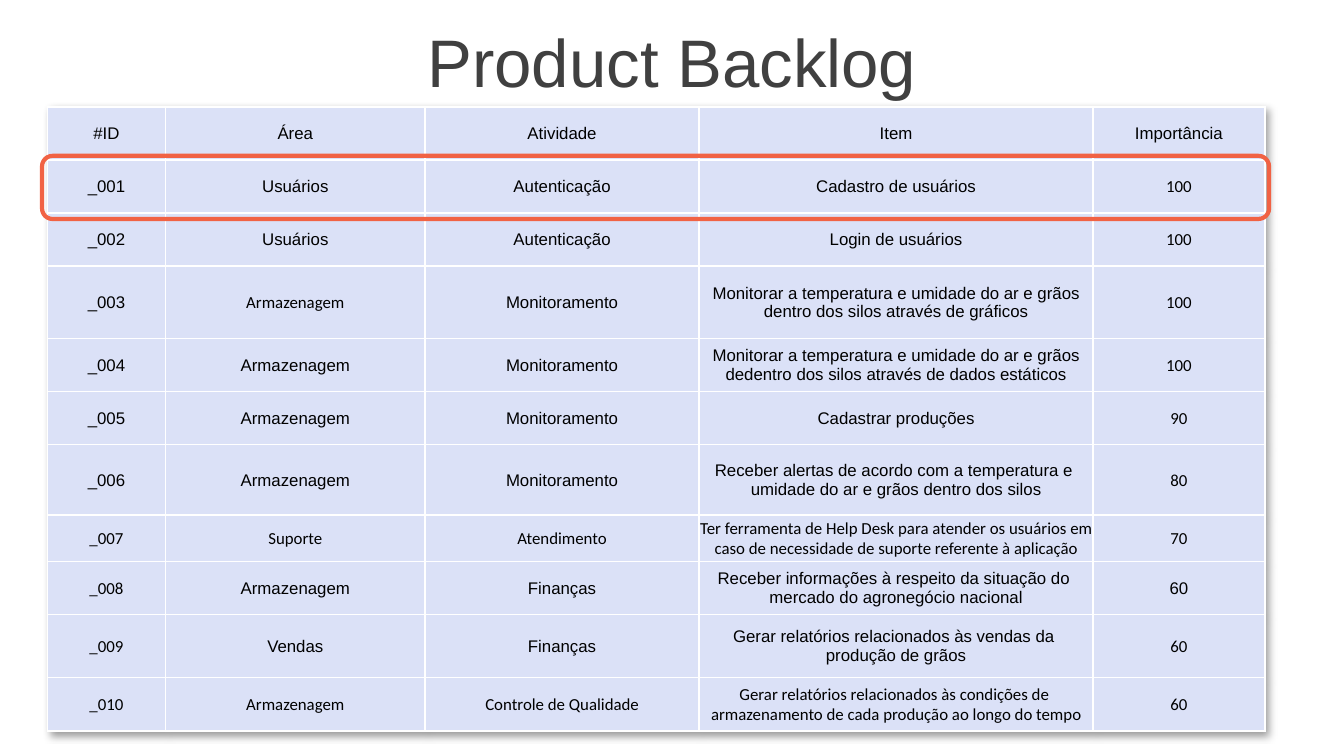
from lxml import etree
from pptx import Presentation, oxml
from pptx.dml import color
from pptx.enum import shapes, text
from pptx.oxml import ns
from pptx.util import Inches, Pt

COLORS = {"title": "404040", "text": "000000", "cell": "DBE1F7", "border": "FFFFFF", "highlight": "F16244"}
FONTS = {"A": "Arial", "C": "Calibri"}
GRID_COLUMNS = 1000
COLUMN_WIDTHS = [88, 193, 204, 293, 128]
LINE = 39.5
BACKLOG = [
    (LINE, "AAAAA", "#ID", "Área", "Atividade", "Item", "Importância"),
    (LINE, "AAAAC", "_001", "Usuários", "Autenticação", "Cadastro de usuários", "100"),
    (LINE, "AAAAC", "_002", "Usuários", "Autenticação", "Login de usuários", "100"),
    (54, "ACAAC", "_003", "Armazenagem", "Monitoramento",
     "Monitorar a temperatura e umidade do ar e grãos dentro dos silos através de gráficos", "100"),
    (LINE, "AAAAC", "_004", "Armazenagem", "Monitoramento",
     "Monitorar a temperatura e umidade do ar e grãos dedentro dos silos através de dados estáticos", "100"),
    (LINE, "AAAAC", "_005", "Armazenagem", "Monitoramento", "Cadastrar produções", "90"),
    (52.5, "AAAAC", "_006", "Armazenagem", "Monitoramento",
     "Receber alertas de acordo com a temperatura e \numidade do ar e grãos dentro dos silos", "80"),
    (34.5, "CCCCC", "_007", "Suporte", "Atendimento",
     "Ter ferramenta de Help Desk para atender os usuários em caso de necessidade de suporte "
     "referente à aplicação", "70"),
    (LINE, "CAAAA", "_008", "Armazenagem", "Finanças",
     "Receber informações à respeito da situação do \nmercado do agronegócio nacional", "60"),
    (47, "CAAAC", "_009", "Vendas", "Finanças",
     "Gerar relatórios relacionados às vendas da \nprodução de grãos", "60"),
    (LINE, "CCCCC", "_010", "Armazenagem", "Controle de Qualidade",
     "Gerar relatórios relacionados às condições de \narmazenamento de cada produção ao longo do tempo", "60"),
]

deck = Presentation()
deck.slide_width = Inches(10)
deck.slide_height = deck.slide_width * 9 // 16
unit = deck.slide_width // GRID_COLUMNS
page = deck.slides.add_slide(deck.slide_layouts[5])


def place(*lengths):
    return [int(length * unit) for length in lengths]


def write(frame, words, font_name, size, color_name):
    frame.text = words
    for para in frame.paragraphs:
        para.alignment = text.PP_ALIGN.CENTER
        for span in para.runs:
            for name, value in {"name": font_name, "size": Pt(size), "bold": False}.items():
                setattr(span.font, name, value)
            span.font.color.rgb = color.RGBColor.from_string(COLORS[color_name])


title = page.shapes.title
title.left, title.top, title.width, title.height = place(0, 13.5, GRID_COLUMNS, 63)
title.text_frame.vertical_anchor = text.MSO_ANCHOR.MIDDLE
write(title.text_frame, "Product Backlog", "Arial", 36, "title")

heights = [row[0] for row in BACKLOG]
table = page.shapes.add_table(
    len(BACKLOG), len(COLUMN_WIDTHS), *place(35.2, 79.4, sum(COLUMN_WIDTHS), sum(heights))).table
for name in ("first_row", "horz_banding"):
    setattr(table, name, False)
for column, width in zip(table.columns, COLUMN_WIDTHS):
    column.width = width * unit

shadow = oxml.parse_xml(
    f'<a:effectLst {ns.nsdecls("a")}><a:outerShdw blurRad="50800" dist="38100" dir="2700000" algn="tl">'
    '<a:srgbClr val="000000"><a:alpha val="40000"/></a:srgbClr></a:outerShdw></a:effectLst>')
table._tbl.tblPr.insert(0, shadow)

cell_format = {
    "margin_left": Pt(0.5), "margin_right": Pt(0.5), "margin_top": Pt(0.5),
    "margin_bottom": 0, "vertical_anchor": text.MSO_ANCHOR.MIDDLE,
}
for row, (height, fonts, *entries) in zip(table.rows, BACKLOG):
    row.height = int(height * unit)
    for cell, font, words in zip(row.cells, fonts, entries):
        for name, value in cell_format.items():
            setattr(cell, name, value)
        write(cell.text_frame, words, FONTS[font], 9, "text")
        cell.fill.solid()
        cell.fill.fore_color.rgb = color.RGBColor.from_string(COLORS["cell"])
        properties = cell._tc.get_or_add_tcPr()
        for index, side in enumerate(("lnL", "lnR", "lnT", "lnB")):
            border = etree.Element(ns.qn(f"a:{side}"), w=str(Pt(1)))
            fill = etree.SubElement(border, ns.qn("a:solidFill"))
            etree.SubElement(fill, ns.qn("a:srgbClr"), val=COLORS["border"])
            properties.insert(index, border)

highlight = page.shapes.add_shape(shapes.MSO_SHAPE.ROUNDED_RECTANGLE, *place(31.3, 116, 913, 47))
highlight.shadow.inherit = False
highlight.fill.background()
highlight.line.color.rgb = color.RGBColor.from_string(COLORS["highlight"])
highlight.line.width = Pt(2.25)

deck.save("out.pptx")
